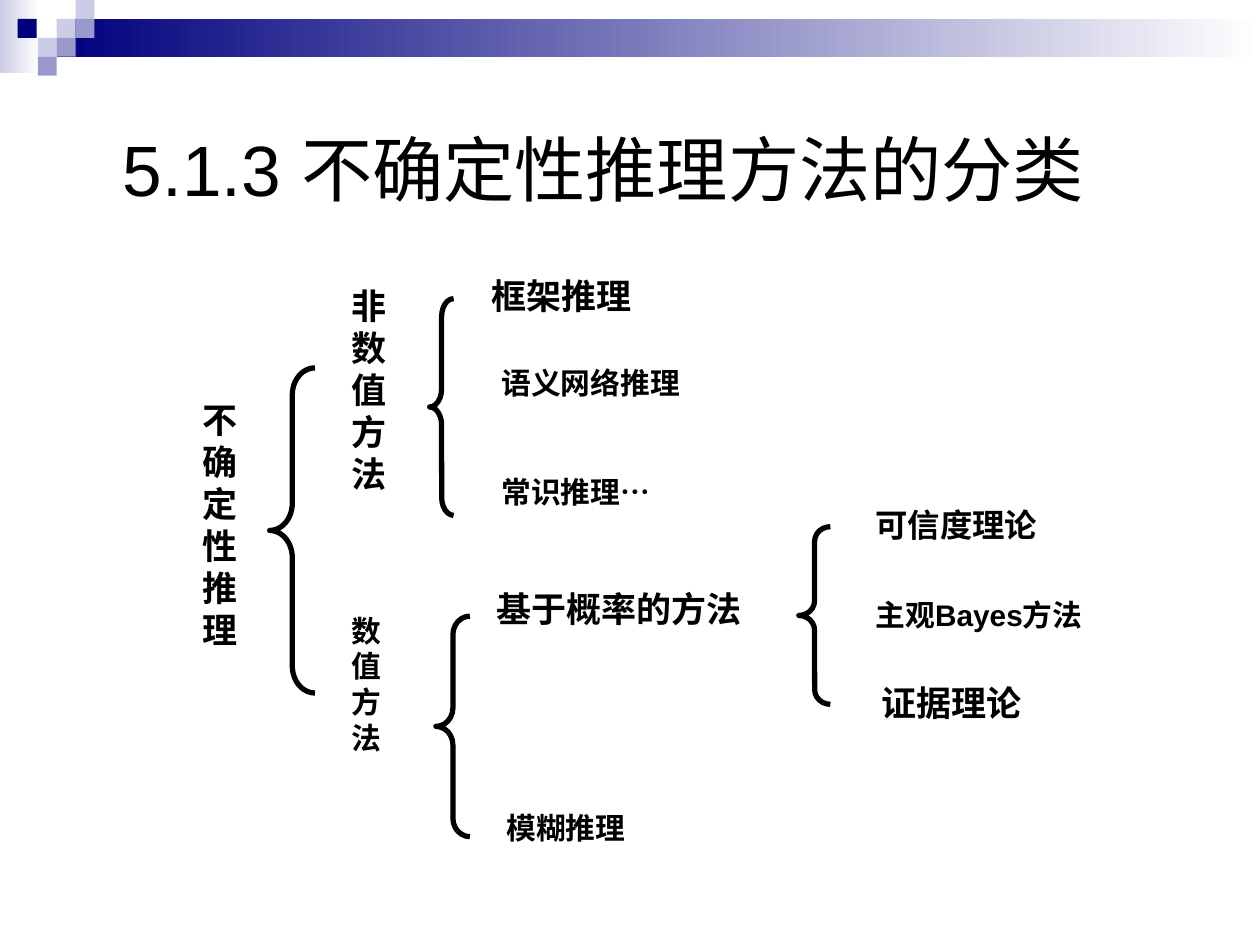
import pptx
import pptx.dml.color
import pptx.enum.shapes
import pptx.enum.text
import pptx.oxml.ns
import pptx.util
from lxml import etree
from pptx.util import Inches

COLORS = {"ink": "000000", "white": "FFFFFF", "navy": "00007D", "pale": "CCCCE6", "mid": "9999CC"}
SANS = "Arial"
CJK = "Noto Sans CJK SC"
SERIF = "Times New Roman"
ALIGN = pptx.enum.text.PP_ALIGN
SHAPE = pptx.enum.shapes.MSO_SHAPE


def rgb(name):
    return pptx.dml.color.RGBColor.from_string(COLORS[name])


def add_text(place, runs, bold=True, align=ALIGN.JUSTIFY, spacing=None):
    box = page.shapes.add_textbox(*map(Inches, place))
    frame = box.text_frame
    frame.word_wrap = True
    para = frame.paragraphs[0]
    para.alignment = align
    if spacing:
        para.line_spacing = spacing
    for text, size, face in runs:
        span = para.add_run()
        span.text = text
        span.font.size = pptx.util.Pt(size)
        span.font.bold = bold
        span.font.color.rgb = rgb("ink")
        span.font.name = face
        east = etree.SubElement(span.font._element, pptx.oxml.ns.qn("a:ea"))
        east.set("typeface", CJK)
    return box


deck = pptx.Presentation()
deck.slide_width = Inches(10)
deck.slide_height = Inches(7.5)
page = deck.slides.add_slide(deck.slide_layouts[6])

banner = [
    (0, 0, 0.31, 0.58, "pale", True),
    (0.45, 0.15, 9.55, 0.3, "navy", True),
]
for left, top, color in [
    (0.45, 0.15, "pale"), (0.6, 0, "pale"), (0.6, 0.15, "mid"), (0.3, 0.3, "pale"),
    (0.14, 0.15, "navy"), (0.45, 0.3, "mid"), (0.3, 0.45, "mid"),
]:
    banner.append((left, top, 0.15, 0.15, color, False))

for left, top, width, height, color, fades in banner:
    block = page.shapes.add_shape(
        SHAPE.RECTANGLE, Inches(left), Inches(top), Inches(width), Inches(height))
    block.shadow.inherit = False
    block.line.fill.background()
    if fades:
        block.fill.gradient()
        block.fill.gradient_angle = 0
        for stop, position, name in zip(block.fill.gradient_stops, (0, 1), (color, "white")):
            stop.position = position
            stop.color.rgb = rgb(name)
    else:
        block.fill.solid()
        block.fill.fore_color.rgb = rgb(color)

for left, top, width, height in [
    (2.14, 2.92, 0.36, 2.58),
    (3.41, 2.37, 0.19, 1.72),
    (3.46, 4.89, 0.27, 1.75),
    (6.34, 4.18, 0.25, 1.41),
]:
    brace = page.shapes.add_shape(
        SHAPE.LEFT_BRACE, Inches(left), Inches(top), Inches(width), Inches(height))
    brace.adjustments[0] = height / 12 / width
    brace.shadow.inherit = False
    brace.fill.background()
    brace.line.color.rgb = rgb("ink")
    brace.line.width = pptx.util.Pt(3)

for place, text, size, face in [
    ((1.51, 3.11, 0.54, 2.16), "不确定性推理", 20, SANS),
    ((2.69, 2.21, 0.51, 1.81), "非数值方法", 20, SANS),
    ((2.69, 4.81, 0.54, 1.32), "数值方法", 17, SANS),
    ((3.8, 2.13, 2.05, 0.44), "框架推理", 20, CJK),
    ((3.84, 4.61, 2.33, 0.47), "基于概率的方法", 20, SANS),
    ((3.92, 6.38, 1.67, 0.41), "模糊推理", 17, SANS),
    ((6.85, 3.96, 2.04, 0.43), "可信度理论", 18.5, SANS),
    ((6.85, 4.69, 2.29, 0.4), "主观Bayes方法", 17, SANS),
    ((6.9, 5.36, 1.61, 0.47), "证据理论", 20, SANS),
]:
    add_text(place, [(text, size, face)])

add_text((3.88, 2.88, 2.16, 0.4), [("语义网络推理", 17, CJK)], spacing=0.9)
add_text((3.88, 3.74, 2.05, 0.4), [("常识推理", 17, CJK), ("…", 17, SERIF)], spacing=0.9)

title = add_text((0.55, 0.86, 8.48, 0.95), [("5.1.3 不确定性推理方法的分类", 40.7, SANS)],
                 bold=False, align=ALIGN.CENTER)
title.text_frame.vertical_anchor = pptx.enum.text.MSO_ANCHOR.MIDDLE

deck.save("out.pptx")
